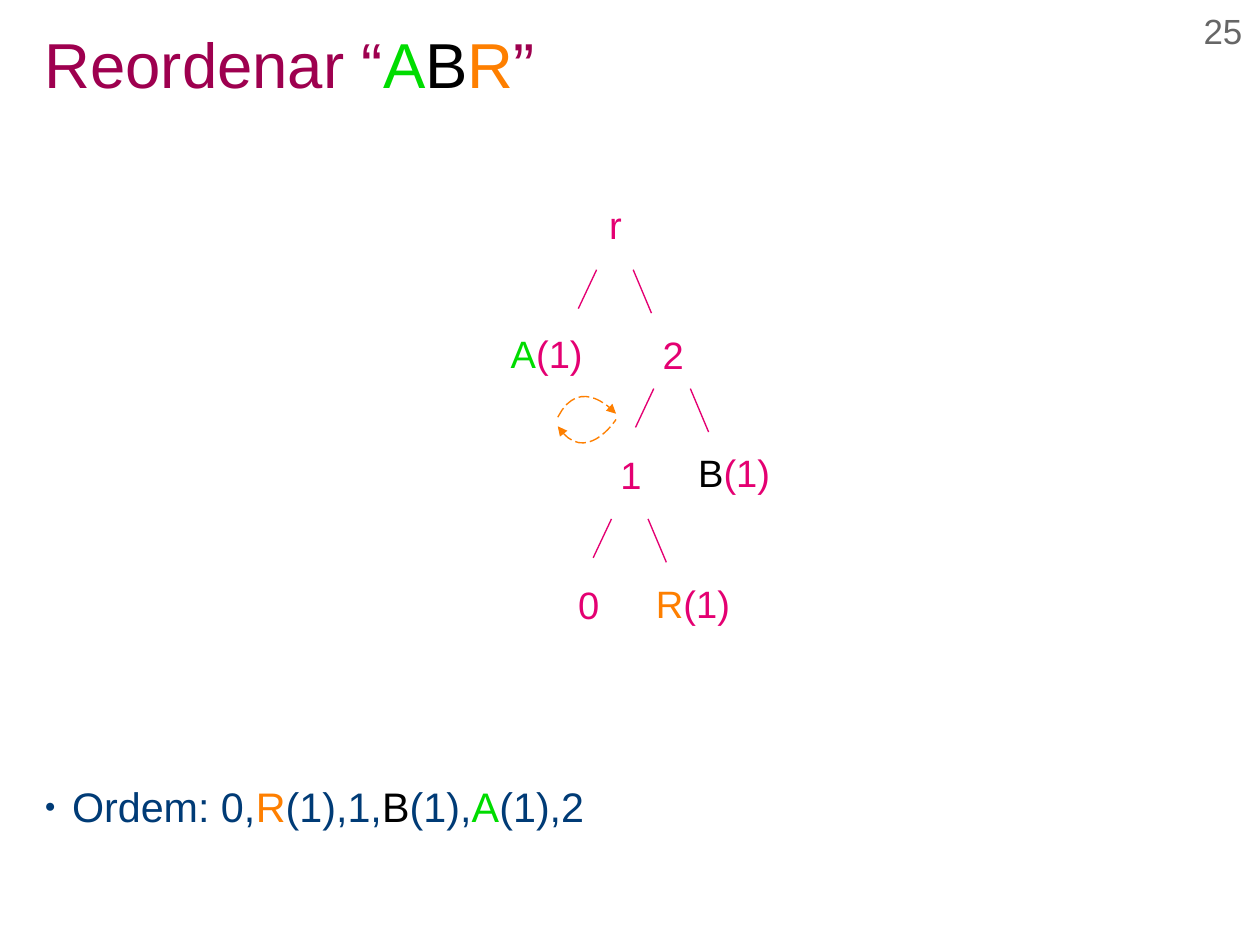
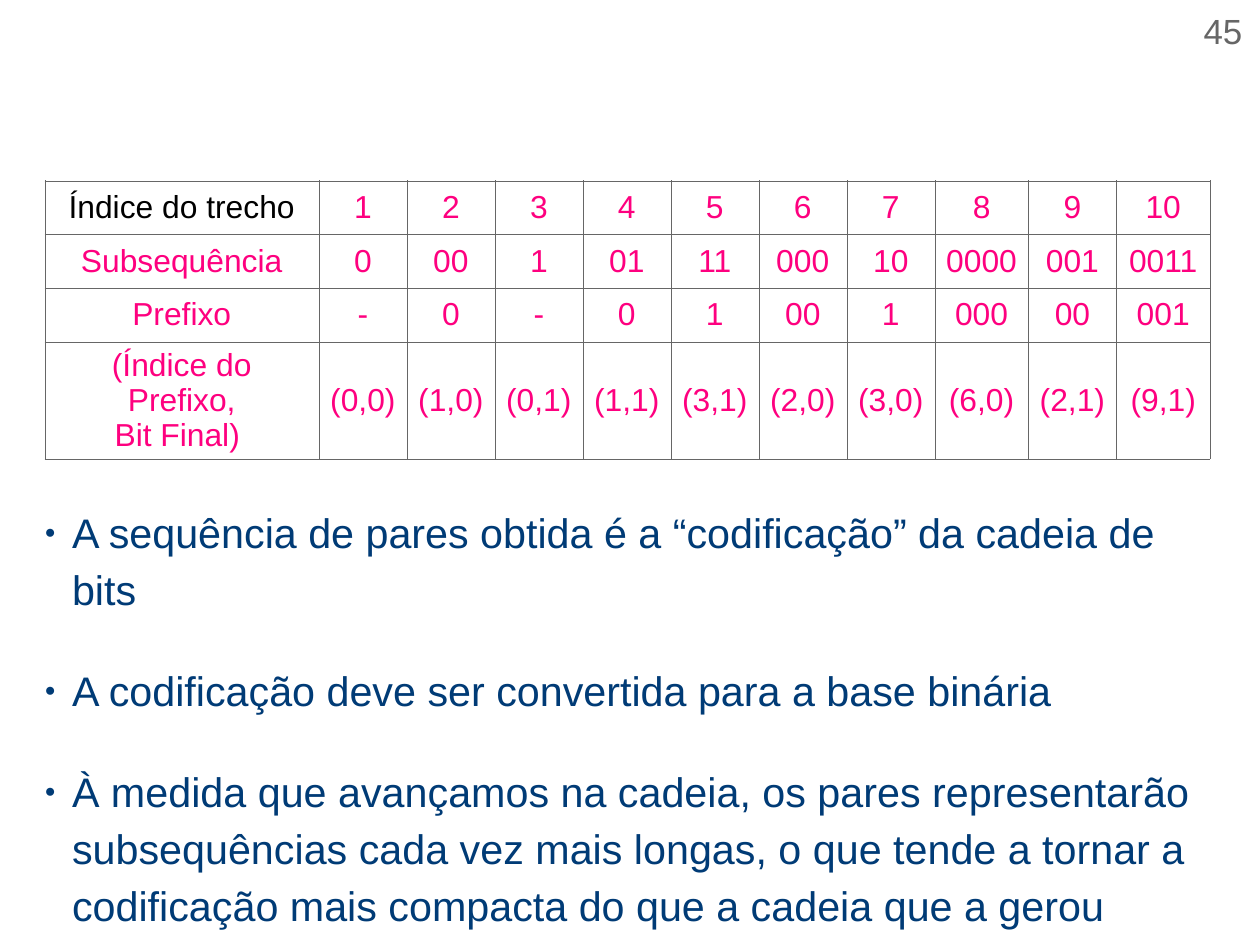
from lxml import etree
from pptx import Presentation
from pptx.dml.color import RGBColor
from pptx.enum.dml import MSO_LINE
from pptx.enum.shapes import MSO_CONNECTOR
from pptx.enum.text import MSO_ANCHOR, MSO_AUTO_SIZE, PP_ALIGN
from pptx.oxml import parse_xml
from pptx.oxml.ns import nsdecls, qn
from pptx.util import Cm, Inches, Pt

LEFT, CENTER, RIGHT = PP_ALIGN.LEFT, PP_ALIGN.CENTER, PP_ALIGN.RIGHT
TOP, MIDDLE = MSO_ANCHOR.TOP, MSO_ANCHOR.MIDDLE
NO_AUTOFIT = MSO_AUTO_SIZE.NONE
STRAIGHT = MSO_CONNECTOR.STRAIGHT
LONG_DASH = MSO_LINE.LONG_DASH

COLORS = {
    "title": "9E004F",
    "body": "003B76",
    "tree": "E40072",
    "table": "FE007F",
    "gray": "666666",
    "black": "000000",
    "green": "00DC00",
    "orange": "FE7F00",
}
FONT = "Arial"
MARGIN, CONTENT_WIDTH = 0.39, 10.24
A, B, R = ("A", "green"), ("B", "black"), ("R", "orange")


def write(paragraph, *pieces, size, align=LEFT, spacing=None, before=0, bullet=False):
    """Fill a paragraph with (text, colour name) pieces; a newline breaks the line."""
    if bullet:
        properties = paragraph._p.get_or_add_pPr()
        properties.set("marL", str(Inches(0.24)))
        properties.set("indent", str(-Inches(0.24)))
        for xml in (
            f'<a:buClr {nsdecls("a")}><a:srgbClr val="{COLORS["body"]}"/></a:buClr>',
            f'<a:buSzPct {nsdecls("a")} val="45000"/>',
            f'<a:buFont {nsdecls("a")} typeface="{FONT}"/>',
            f'<a:buChar {nsdecls("a")} char="●"/>',
        ):
            properties.append(parse_xml(xml))
    paragraph.alignment = align
    paragraph.space_before = Pt(before)
    if spacing:
        paragraph.line_spacing = spacing
    for text, color in pieces:
        for number, line in enumerate(text.split("\n")):
            if number:
                paragraph.add_line_break()
            run = paragraph.add_run()
            run.text = line
            run.font.name = FONT
            run.font.size = Pt(size)
            run.font.color.rgb = RGBColor.from_string(COLORS[color])


def place(shape, left, top, width, height, inset=0, anchor=TOP):
    """Move a text shape, set its frame and return its first paragraph."""
    shape.left, shape.top = Inches(left), Inches(top)
    shape.width, shape.height = Inches(width), Inches(height)
    frame = shape.text_frame
    frame.word_wrap = True
    frame.auto_size = NO_AUTOFIT
    frame.vertical_anchor = anchor
    frame.margin_left = frame.margin_right = Inches(inset)
    frame.margin_top = frame.margin_bottom = Inches(inset / 2)
    return frame.paragraphs[0]


prs = Presentation()
prs.slide_width, prs.slide_height = Cm(28), Cm(21)
title_and_content = prs.slide_layouts[1]
tree_slide = prs.slides.add_slide(title_and_content)
table_slide = prs.slides.add_slide(title_and_content)

for slide, page in ((tree_slide, "25"), (table_slide, "45")):
    page_number = slide.shapes.add_textbox(0, 0, 0, 0)
    write(place(page_number, 8.14, 0.08, 2.73, 0.46), (page, "gray"), size=22, align=RIGHT)

# Slide 25: reordering the tree
write(
    place(tree_slide.shapes.title, MARGIN, 0.2, CONTENT_WIDTH, 0.79, anchor=MIDDLE),
    ("Reordenar “", "title"), A, B, R, ("”", "title"),
    size=40, spacing=0.9,
)
write(
    place(tree_slide.placeholders[1], MARGIN, 6.77, CONTENT_WIDTH, 1.3),
    ("Ordem: 0,", "body"), R, ("(1),1,", "body"), B, ("(1),", "body"), A, ("(1),2", "body"),
    size=26, spacing=1.15, bullet=True,
)

weight = ("(1)", "tree")
nodes = [
    (5.23, 1.71, 0.35, [("r", "tree")]),
    (4.37, 2.84, 1.06, [A, weight]),
    (5.7, 2.85, 0.4, [("2", "tree")]),
    (5.33, 3.9, 0.4, [("1", "tree")]),
    (6.01, 3.88, 1, [B, weight]),
    (4.96, 5.04, 0.4, [("0", "tree")]),
    (5.64, 5.03, 1.09, [R, weight]),
]
for left, top, width, label in nodes:
    node = tree_slide.shapes.add_textbox(0, 0, 0, 0)
    write(place(node, left, top, width, 0.47, inset=0.1), *label, size=24)

for fork_x, fork_y in ((5.22, 2.36), (5.72, 3.4), (5.35, 4.54)):
    for start_x, end_x, drop in ((0, -0.16, 0.34), (0.32, 0.48, 0.38)):
        branch = tree_slide.shapes.add_connector(
            STRAIGHT,
            Inches(fork_x + start_x), Inches(fork_y),
            Inches(fork_x + end_x), Inches(fork_y + drop),
        )
        branch.line.color.rgb = RGBColor.from_string(COLORS["tree"])
        branch.line.width = Pt(0.85)
        etree.SubElement(branch._element.spPr, qn("a:effectLst"))

# Each swap arrow is a cubic curve given by four control points
swap_arrows = [
    ("a:tailEnd", [(4.88, 3.65), (5.08, 3.26), (5.39, 3.62), (5.39, 3.62)]),
    ("a:headEnd", [(4.88, 3.73), (5.12, 4.09), (5.39, 3.67), (5.39, 3.67)]),
]
STEPS = 16
for arrow_end, controls in swap_arrows:
    curve = []
    for step in range(STEPS + 1):
        t = step / STEPS
        weights = ((1 - t) ** 3, 3 * t * (1 - t) ** 2, 3 * t ** 2 * (1 - t), t ** 3)
        curve.append(tuple(
            Inches(sum(w * point[axis] for w, point in zip(weights, controls)))
            for axis in (0, 1)
        ))
    builder = tree_slide.shapes.build_freeform(*curve[0])
    builder.add_line_segments(curve[1:], close=False)
    swap = builder.convert_to_shape()
    swap.shadow.inherit = False
    swap.fill.background()
    swap.line.color.rgb = RGBColor.from_string(COLORS["orange"])
    swap.line.width = Pt(0.85)
    swap.line.dash_style = LONG_DASH
    etree.SubElement(swap.line._get_or_add_ln(), qn(arrow_end), type="triangle")

# Slide 45: table of pairs
title = table_slide.shapes.title._element
title.getparent().remove(title)

remarks = [
    "A sequência de pares obtida é a “codificação” da cadeia de bits",
    "A codificação deve ser convertida para a base binária",
    "À medida que avançamos na cadeia, os pares representarão subsequências cada vez "
    "mais longas, o que tende a tornar a codificação mais compacta do que a cadeia que a gerou",
]
body = table_slide.placeholders[1]
paragraph = place(body, MARGIN, 4.37, CONTENT_WIDTH, 3.7)
for number, remark in enumerate(remarks):
    if number:
        paragraph = body.text_frame.add_paragraph()
    write(paragraph, (remark, "body"), size=26, spacing=1.15,
          before=28 if number else 0, bullet=True)

rows = [
    ["Índice do trecho", "1", "2", "3", "4", "5", "6", "7", "8", "9", "10"],
    ["Subsequência", "0", "00", "1", "01", "11", "000", "10", "0000", "001", "0011"],
    ["Prefixo", "-", "0", "-", "0", "1", "00", "1", "000", "00", "001"],
    ["(Índice do Prefixo,\nBit Final) ", "(0,0)", "(1,0)", "(0,1)", "(1,1)", "(3,1)",
     "(2,0)", "(3,0)", "(6,0)", "(2,1)", "(9,1)"],
]
column_widths = [2.4] + [0.77] * 7 + [0.82, 0.77, 0.82]
row_heights = [0.47, 0.47, 0.47, 1.03]
pairs = table_slide.shapes.add_table(
    len(rows), len(column_widths), Inches(MARGIN), Inches(1.58),
    Inches(sum(column_widths)), Inches(sum(row_heights)),
).table
pairs.first_row = pairs.horz_banding = False
for column, width in zip(pairs.columns, column_widths):
    column.width = Inches(width)
for row, height in zip(pairs.rows, row_heights):
    row.height = Inches(height)

for row_index, values in enumerate(rows):
    for column_index, value in enumerate(values):
        cell = pairs.cell(row_index, column_index)
        cell.vertical_anchor = MIDDLE
        cell.margin_left = cell.margin_right = Inches(0.09 if column_index else 0.1)
        cell_properties = cell._tc.get_or_add_tcPr()
        for side in ("lnL", "lnR", "lnT", "lnB"):
            cell_properties.append(parse_xml(
                f'<a:{side} {nsdecls("a")} w="720"><a:solidFill>'
                f'<a:srgbClr val="{COLORS["gray"]}"/></a:solidFill></a:{side}>'
            ))
        cell.fill.background()
        color = "black" if row_index == column_index == 0 else "table"
        write(cell.text_frame.paragraphs[0], (value, color), size=20, align=CENTER)

prs.save("out.pptx")
